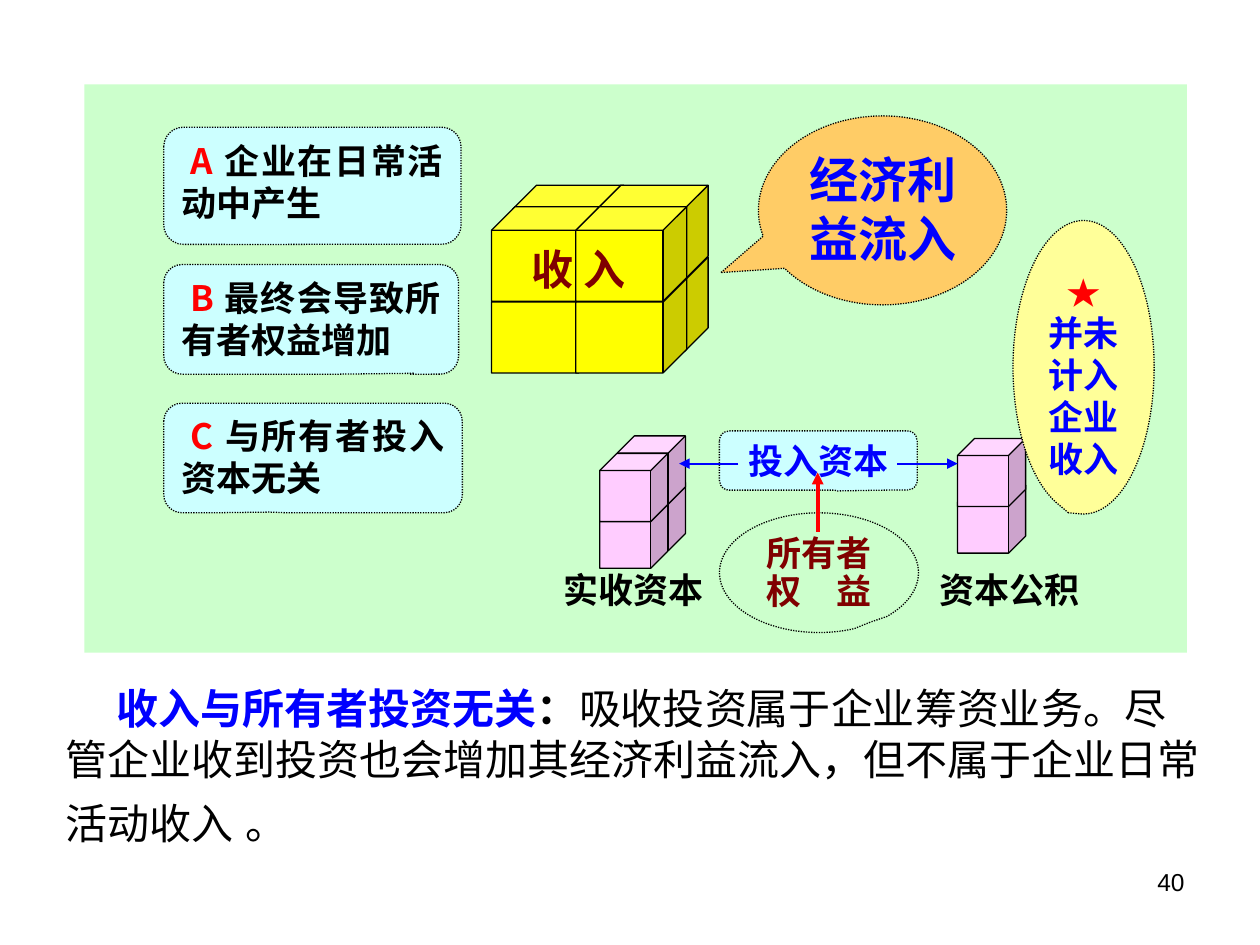
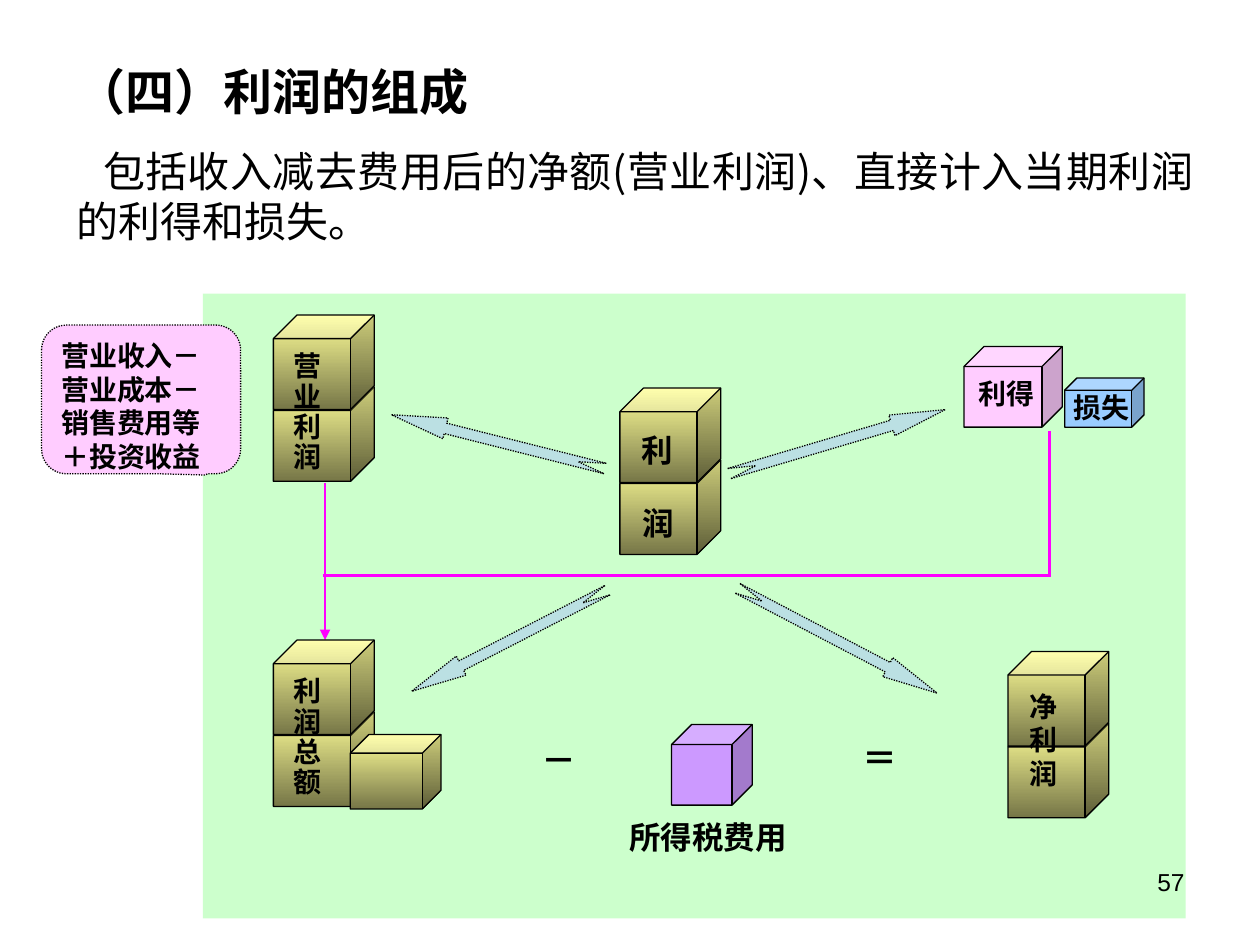
from lxml import etree
from pptx import Presentation, util as u
from pptx.dml.color import RGBColor
from pptx.enum import dml, shapes, text
from pptx.oxml.ns import qn

Inches, Pt = u.Inches, u.Pt
Kind, Align = shapes.MSO_SHAPE, text.PP_ALIGN
ROUND, OVAL = Kind.ROUNDED_RECTANGULAR_CALLOUT, Kind.OVAL_CALLOUT


class Theme:
    black, red, blue, brown = "000000", "FF0000", "0000FF", "800000"
    mint, cyan, pink, yellow = "CCFFCC", "CCFFFF", "FFCCFF", "FFFF00"
    cream, orange, sky, violet = "FFFF99", "FFCC66", "99CCFF", "CC99FF"
    steel, route = "BBE0E3", "FF00FF"
    gold = ("FFFF99", "767647")
    sans, serif, han = "Arial", "Times New Roman", "Noto Sans CJK SC"
    page, small, label, mid, body, head = 14, 16, 18, 20, 24, 28
    thin = 0.75


T = Theme

# ---- Content: slide 1 ----
# place, pointer, letter, wording
traits = [
    ((1.3, 1.01, 2.36, 0.93), (-0.084, 0.502), "A ", "企业在日常活动中产生"),
    ((1.3, 2.1, 2.34, 0.87), (0.35, 0.492), "B ", "最终会导致所有者权益增加"),
    ((1.3, 3.2, 2.37, 0.87), (-0.147, 0.494), "C ", "与所有者投入资本无关"),
]
# kind, place, pointer, fill, paragraphs, size, line spacing
bubbles = [
    (OVAL, (6.02, 0.92, 1.97, 1.5), (-0.651, 0.329), T.orange,
     [[("经济利益流入", T.blue)]], T.head, None),
    (ROUND, (5.71, 3.42, 1.57, 0.47), (0.093, 0.515), T.cyan,
     [[("投入资本", T.blue)]], T.mid, None),
    (OVAL, (5.71, 4.07, 1.58, 0.95), (0.257, 0.414), T.mint,
     [[("所有者", T.brown)], [("权　益", T.brown)]], T.mid, 0.9),
]
aside = (OVAL, (8.04, 1.75, 1.12, 2.33), (-0.107, 0.496), T.cream,
         [[("★", T.red)], [("并未计入企业收入", T.blue)]], T.mid, None)
names = [
    ("收 入", (4.04, 1.88, 1.1, 0.55), T.body, T.brown, Align.CENTER),
    ("实收资本", (4.37, 4.46, 1.32, 0.41), T.mid, T.black, Align.CENTER),
    ("资本公积", (7.36, 4.46, 1.34, 0.47), T.mid, T.black, Align.LEFT),
]
flows = [
    ((7.12, 3.68), (7.6, 3.68), T.blue, 1),
    ((5.86, 3.68), (5.39, 3.68), T.blue, 1),
    ((6.49, 4.22), (6.49, 3.75), T.red, 2.25),
]
remark = [[
    ("收入与所有者投资无关", T.blue, True),
    ("：", T.black, True),
    ("吸收投资属于企业筹资业务。尽管企业收到投资也会增加其经济利益流入，"
     "但不属于企业日常活动收入", T.black, False),
    (" ", T.black, False, 32),
    ("。", T.black, False),
]]

# ---- Content: slide 2 ----
title = "（四）利润的组成"
intro = "包括收入减去费用后的净额(营业利润)、直接计入当期利润的利得和损失。"
formula = "营业收入－营业成本－销售费用等＋投资收益"
# top-left of each two-cube tower
towers = [(4.92, 3.08), (2.17, 2.5), (2.17, 5.08), (8, 5.17)]
# place, fill
blocks = [
    ((7.65, 2.75, 0.78, 0.64), T.pink),
    ((8.45, 3, 0.63, 0.39), T.sky),
    ((2.78, 5.83, 0.72, 0.59), T.gold),
    ((5.33, 5.75, 0.64, 0.64), T.violet),
]
# wording, place, size, font, line spacing
tags = [
    ("利", (4.98, 3.37, 0.47, 0.39), T.label, T.sans, None),
    ("润", (4.99, 3.95, 0.47, 0.39), T.label, T.sans, None),
    ("营业利润", (2.22, 2.75, 0.44, 1.07), T.small, T.sans, 0.9),
    ("利润总额", (2.22, 5.33, 0.44, 1.07), T.small, T.sans, 0.9),
    ("净利润", (8.06, 5.42, 0.44, 1.07), T.small, T.sans, None),
    ("利得", (7.58, 2.83, 0.82, 0.54), T.small, T.serif, 1.4),
    ("损失", (8.41, 3.05, 0.67, 0.33), T.small, T.serif, None),
    ("－", (4.08, 5.81, 0.71, 0.54), T.mid, T.serif, None),
    ("＝", (6.63, 5.8, 0.71, 0.54), T.mid, T.serif, None),
    ("所得税费用", (4.83, 6.44, 1.58, 0.42), T.label, T.sans, None),
]
# from, to, arrowhead
routes = [
    ((8.33, 3.42), (8.33, 4.58), False),
    ((2.56, 4.57), (8.32, 4.57), False),
    ((2.58, 3.83), (2.58, 5.08), True),
]
# left, top, length, turn
arrows = [
    (3.08, 3.42, 1.75, 194.1),
    (5.75, 3.42, 1.79, 343.5),
    (3.17, 5, 1.75, 152.7),
    (5.75, 5, 1.79, 27.7),
]


# ---- Helpers ----
def rgb(code):
    return RGBColor.from_string(code)


def write(box, paras, size, font=T.serif, align=Align.CENTER, bold=True,
          space=None, indent=0):
    """Each paragraph is a list of runs: (text, colour[, bold[, size]])."""
    frame = box.text_frame
    frame.word_wrap = True
    frame.vertical_anchor = text.MSO_ANCHOR.TOP
    for i, runs in enumerate(paras):
        para = frame.paragraphs[0] if i == 0 else frame.add_paragraph()
        para.alignment = align
        if space:
            para.line_spacing = space
        if indent:
            para._p.get_or_add_pPr().set("indent", str(Inches(indent)))
        for words, tint, *more in runs:
            run = para.add_run()
            run.text = words
            run.font.name = font
            run.font.bold = more[0] if more else bold
            run.font.size = Pt(more[1] if len(more) > 1 else size)
            run.font.color.rgb = rgb(tint)
            east = etree.SubElement(run._r.get_or_add_rPr(), qn("a:ea"))
            east.set("typeface", T.han)
    return frame


def label(slide, place, paras, size, **style):
    box = slide.shapes.add_textbox(*map(Inches, place))
    return write(box, paras, size, **style)


def draw(slide, kind, place, fill, edge=True, dots=False, adjust=()):
    part = slide.shapes.add_shape(kind, *map(Inches, place))
    part.shadow.inherit = False
    if isinstance(fill, tuple):
        part.fill.gradient()
        part.fill.gradient_angle = 270
        for stop, tint, spot in zip(part.fill.gradient_stops, fill, (0, 1)):
            stop.color.rgb = rgb(tint)
            stop.position = spot
    else:
        part.fill.solid()
        part.fill.fore_color.rgb = rgb(fill)
    if edge:
        part.line.color.rgb = rgb(T.black)
        part.line.width = Pt(T.thin)
        if dots:
            part.line.dash_style = dml.MSO_LINE.ROUND_DOT
    else:
        part.line.fill.background()
    for i, value in enumerate(adjust):
        part.adjustments[i] = value
    return part


def bubble(slide, kind, place, point, fill, paras, size, space=None, **style):
    adjust = point + (0.167,) if kind == ROUND else point
    part = draw(slide, kind, place, fill, dots=True, adjust=adjust)
    write(part, paras, size, space=space, **style)


def stack(slide, x, y, wide, high, step, fill):
    """Two cubes, the lower one first so the upper one covers it."""
    for top in (y + step, y):
        draw(slide, Kind.CUBE, (x, top, wide, high), fill, adjust=(0.25,))


def link(slide, start, end, tint, width, head=True):
    line = slide.shapes.add_connector(
        shapes.MSO_CONNECTOR.STRAIGHT, *map(Inches, start + end))
    line.line.color.rgb = rgb(tint)
    line.line.width = Pt(width)
    if head:
        tip = etree.SubElement(line.line._get_or_add_ln(), qn("a:tailEnd"))
        tip.set("type", "triangle")
    etree.SubElement(line._element.spPr, qn("a:effectLst"))


def begin(deck, panel):
    slide = deck.slides.add_slide(deck.slide_layouts[6])
    draw(slide, Kind.RECTANGLE, panel, T.mint, edge=False)
    return slide


def number(slide, page):
    label(slide, (7.17, 6.83, 2.33, 0.52), [[(page, T.black)]], T.page,
          font=T.sans, align=Align.RIGHT, bold=False)


# ---- Slides ----
def income(deck):
    slide = begin(deck, (0.67, 0.67, 8.75, 4.51))
    for place, point, mark, words in traits:
        bubble(slide, ROUND, place, point, T.cyan,
               [[(mark, T.red), (words, T.black)]], T.mid,
               font=T.han, align=Align.JUSTIFY, indent=0.07)
    for item in bubbles:
        bubble(slide, *item)
    # Cubes: back stack, then front, column by column
    for shift in (0, 0.67):
        for x, y in ((4.07, 1.47), (3.9, 1.64)):
            stack(slide, x + shift, y, 0.88, 0.75, 0.57, T.yellow)
    for x, y in ((4.9, 3.46), (4.76, 3.6), (7.6, 3.48)):
        stack(slide, x, y, 0.54, 0.54, 0.37, T.pink)
    for words, place, size, tint, align in names:
        label(slide, place, [[(words, tint)]], size, align=align)
    for flow in flows:
        link(slide, *flow)
    bubble(slide, *aside)
    label(slide, (0.42, 5.37, 9.25, 1.54), remark, T.body,
          font=T.han, align=Align.LEFT, indent=0.41)
    number(slide, "40")


def profit(deck):
    slide = begin(deck, (1.61, 2.33, 7.8, 4.96))
    # Heading and introduction
    frame = label(slide, (0.51, 0.44, 9.06, 1.89),
                  [[(title, T.black, True, T.head)], [(intro, T.black)]],
                  T.body, font=T.han, align=Align.JUSTIFY, bold=False)
    second = frame.paragraphs[1]
    second.space_before = Pt(14)
    second._p.get_or_add_pPr().set("indent", str(Inches(0.21)))
    # Routes lie beneath the cubes
    for start, end, head in routes:
        link(slide, start, end, T.route, 1.5, head)
    bubble(slide, ROUND, (0.33, 2.58, 1.58, 1.18), (0.324, 0.509), T.pink,
           [[(formula, T.black)]], T.small, align=Align.LEFT)
    for x, y in towers:
        stack(slide, x, y, 0.8, 0.75, 0.57, T.gold)
    for place, fill in blocks:
        draw(slide, Kind.CUBE, place, fill, adjust=(0.25,))
    for words, place, size, font, space in tags:
        label(slide, place, [[(words, T.black)]], size, font=font, space=space)
    for x, y, long, turn in arrows:
        arrow = draw(slide, Kind.NOTCHED_RIGHT_ARROW, (x, y, long, 0.17),
                     T.steel, dots=True, adjust=(0.5, 2.6))
        arrow.rotation = turn
    number(slide, "57")


def main():
    deck = Presentation()
    deck.slide_width, deck.slide_height = Inches(10), Inches(7.5)
    income(deck)
    profit(deck)
    deck.save("out.pptx")


if __name__ == "__main__":
    main()
